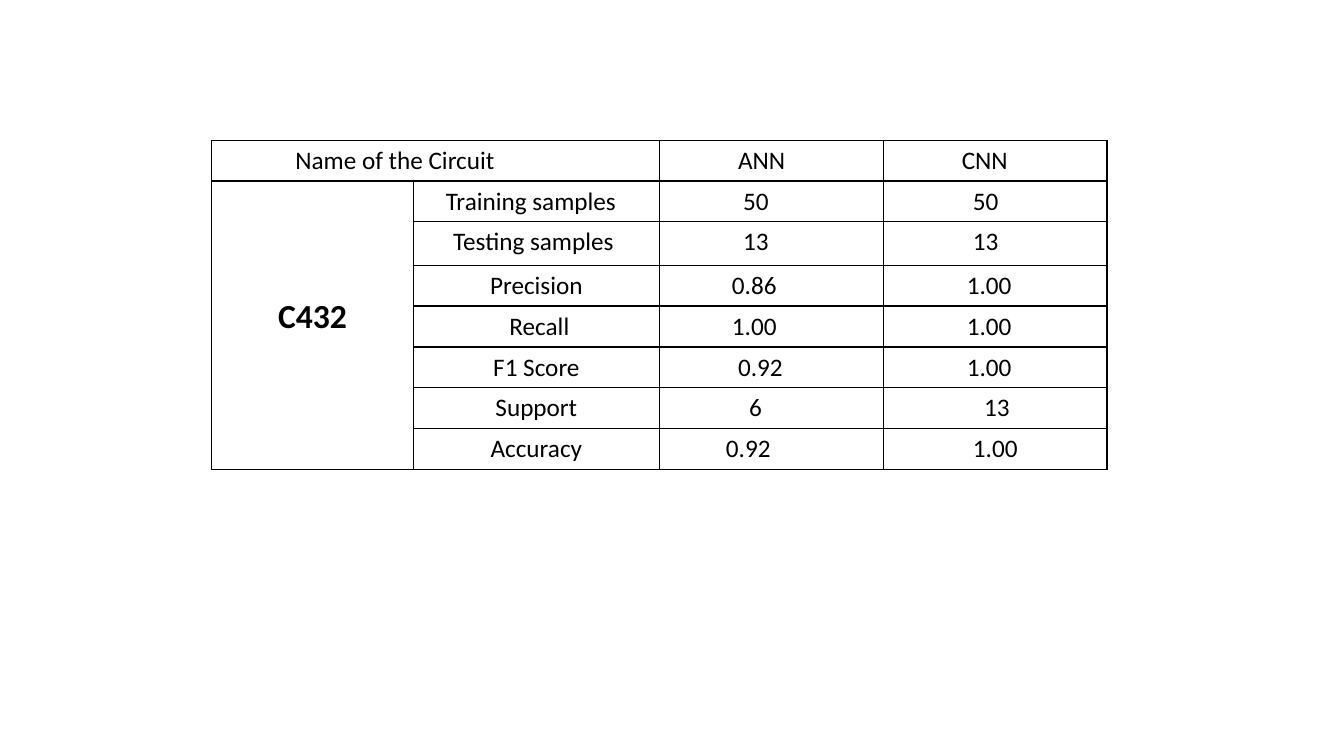
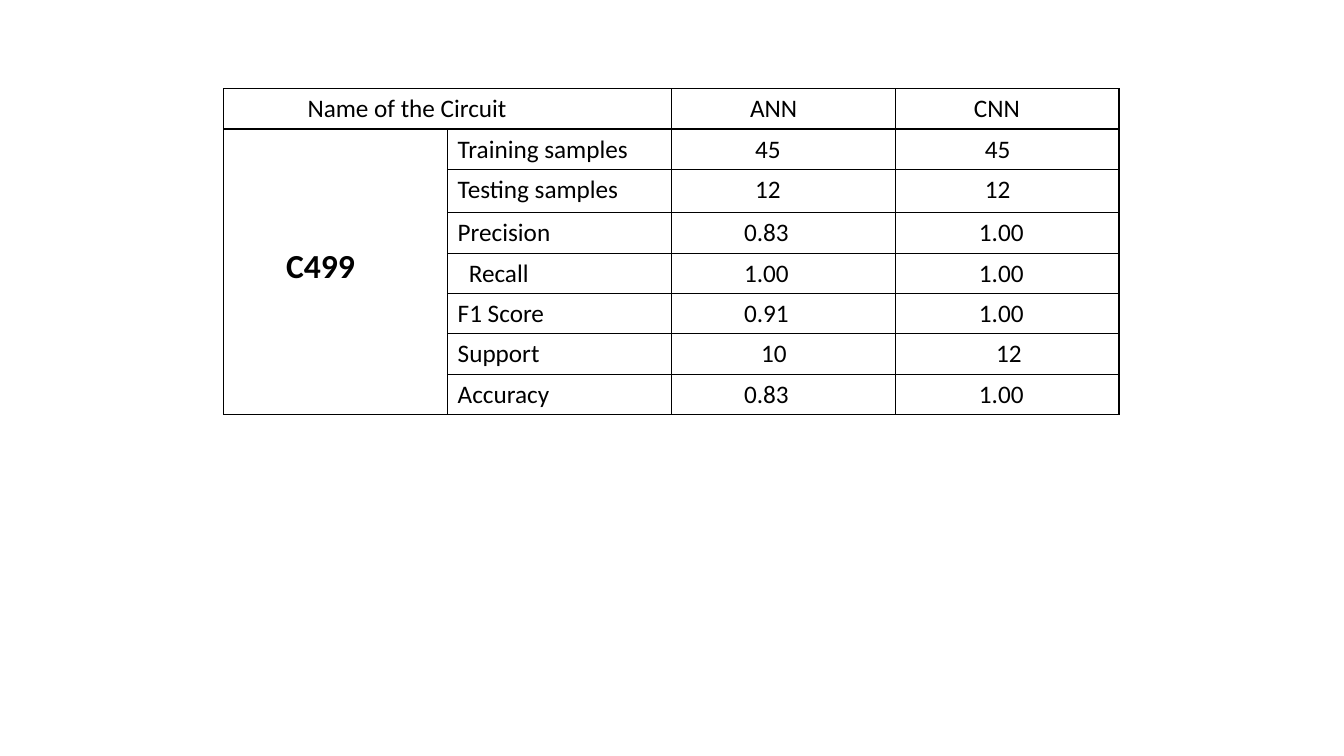
from dataclasses import dataclass
from typing import NamedTuple

from lxml import etree
from pptx import Presentation
from pptx.dml.color import RGBColor
from pptx.enum import text
from pptx.oxml import ns
from pptx.util import Inches, Pt


@dataclass(frozen=True)
class Theme:
    font: str = "Calibri"
    ink: RGBColor = RGBColor(0, 0, 0)
    body: int = 18
    label: int = 24
    border: float = 1
    inset: float = 0.1


THEME = Theme()
LEFT, CENTER = text.PP_ALIGN.LEFT, text.PP_ALIGN.CENTER


class Entry(NamedTuple):
    """Cell text with its left and right insets in inches."""
    text: str
    left: float = THEME.inset
    right: float = THEME.inset


class Row(NamedTuple):
    metric: Entry
    ann: Entry
    cnn: Entry


@dataclass(frozen=True)
class Result:
    circuit: str
    table_at: tuple[float, float]
    label_at: tuple[float, float]
    columns: tuple[float, ...]
    align: text.PP_ALIGN
    rows: tuple[Row, ...]


HEADER = Row(Entry("Name of the Circuit", 0.83), Entry("ANN", 0.78), Entry("CNN", 0.78))
ROW_HEIGHTS = (0.4, 0.4, 0.43, 0.4, 0.4, 0.4, 0.4, 0.4)

RESULTS = (
    Result("C432", (2.1, 1.39), (2.62, 2.88), (2, 2.44, 2.22, 2.22), CENTER, (
        Row(Entry("Training samples", right=0.21), Entry("50", 0.83), Entry("50", 0.89)),
        Row(Entry("Testing samples", right=0.16), Entry("13", 0.83), Entry("13", 0.89)),
        Row(Entry("Precision"), Entry("0.86", 0.72), Entry("1.00", 0.83)),
        Row(Entry("Recall", 0.16), Entry("1.00", 0.72), Entry("1.00", 0.83)),
        Row(Entry("F1 Score"), Entry("0.92", 0.78), Entry("1.00", 0.83)),
        Row(Entry("Support"), Entry("6", 0.89), Entry("13", 1)),
        Row(Entry("Accuracy"), Entry("0.92", 0.66), Entry("1.00", 0.89)),
    )),
    Result("C499", (2.22, 0.88), (2.74, 2.38), (2.22,) * 4, LEFT, (
        Row(Entry("Training samples"), Entry("45", 0.83), Entry("45", 0.89)),
        Row(Entry("Testing samples"), Entry("12", 0.83), Entry("12", 0.89)),
        Row(Entry("Precision"), Entry("0.83", 0.72), Entry("1.00", 0.83)),
        Row(Entry("Recall", 0.21), Entry("1.00", 0.72), Entry("1.00", 0.83)),
        Row(Entry("F1 Score"), Entry("0.91", 0.72), Entry("1.00", 0.83)),
        Row(Entry("Support"), Entry("10", 0.89), Entry("12", 1)),
        Row(Entry("Accuracy"), Entry("0.83", 0.72), Entry("1.00", 0.83)),
    )),
)


def write(tf, words: str, size: int, align: text.PP_ALIGN = LEFT, bold: bool = False) -> None:
    tf.text = words
    p = tf.paragraphs[0]
    p.alignment = align
    font = p.runs[0].font
    font.name, font.size, font.bold = THEME.font, Pt(size), bold
    font.color.rgb = THEME.ink


def outline(cell) -> None:
    """Clear the fill and draw a border on all four sides."""
    cell.fill.background()
    tc_pr = cell._tc.get_or_add_tcPr()
    for i, side in enumerate(("lnL", "lnR", "lnT", "lnB")):
        ln = etree.Element(ns.qn(f"a:{side}"), w=str(Pt(THEME.border)))
        fill = etree.SubElement(ln, ns.qn("a:solidFill"))
        etree.SubElement(fill, ns.qn("a:srgbClr"), val=str(THEME.ink))
        tc_pr.insert(i, ln)


def fill_cell(cell, entry: Entry, align: text.PP_ALIGN = LEFT) -> None:
    write(cell.text_frame, entry.text, THEME.body, align)
    cell.margin_left, cell.margin_right = Inches(entry.left), Inches(entry.right)


def add_results_table(s, result: Result) -> None:
    x, y = result.table_at
    table = s.shapes.add_table(
        len(ROW_HEIGHTS), len(result.columns), Inches(x), Inches(y),
        Inches(sum(result.columns)), Inches(sum(ROW_HEIGHTS))).table
    table.first_row = table.horz_banding = False
    for column, width in zip(table.columns, result.columns):
        column.width = Inches(width)
    for row, height in zip(table.rows, ROW_HEIGHTS):
        row.height = Inches(height)
    for cell in table.iter_cells():
        outline(cell)

    # Header across two columns, circuit name down the remaining rows
    table.cell(0, 0).merge(table.cell(0, 1))
    table.cell(1, 0).merge(table.cell(len(ROW_HEIGHTS) - 1, 0))
    for col, entry in zip((0, 2, 3), HEADER):
        fill_cell(table.cell(0, col), entry)

    # Metrics
    for i, row in enumerate(result.rows, start=1):
        fill_cell(table.cell(i, 1), row.metric, result.align)
        fill_cell(table.cell(i, 2), row.ann)
        fill_cell(table.cell(i, 3), row.cnn)


def add_circuit_label(s, result: Result) -> None:
    x, y = result.label_at
    tf = s.shapes.add_textbox(Inches(x), Inches(y), Inches(0.96), Inches(0.5)).text_frame
    tf.word_wrap = True
    tf.auto_size = text.MSO_AUTO_SIZE.SHAPE_TO_FIT_TEXT
    write(tf, result.circuit, THEME.label, result.align, bold=True)


def main() -> None:
    prs = Presentation()
    prs.slide_width, prs.slide_height = Inches(13.33), Inches(7.5)
    for result in RESULTS:
        s = prs.slides.add_slide(prs.slide_layouts[6])
        add_results_table(s, result)
        add_circuit_label(s, result)
    prs.save("out.pptx")


if __name__ == "__main__":
    main()
